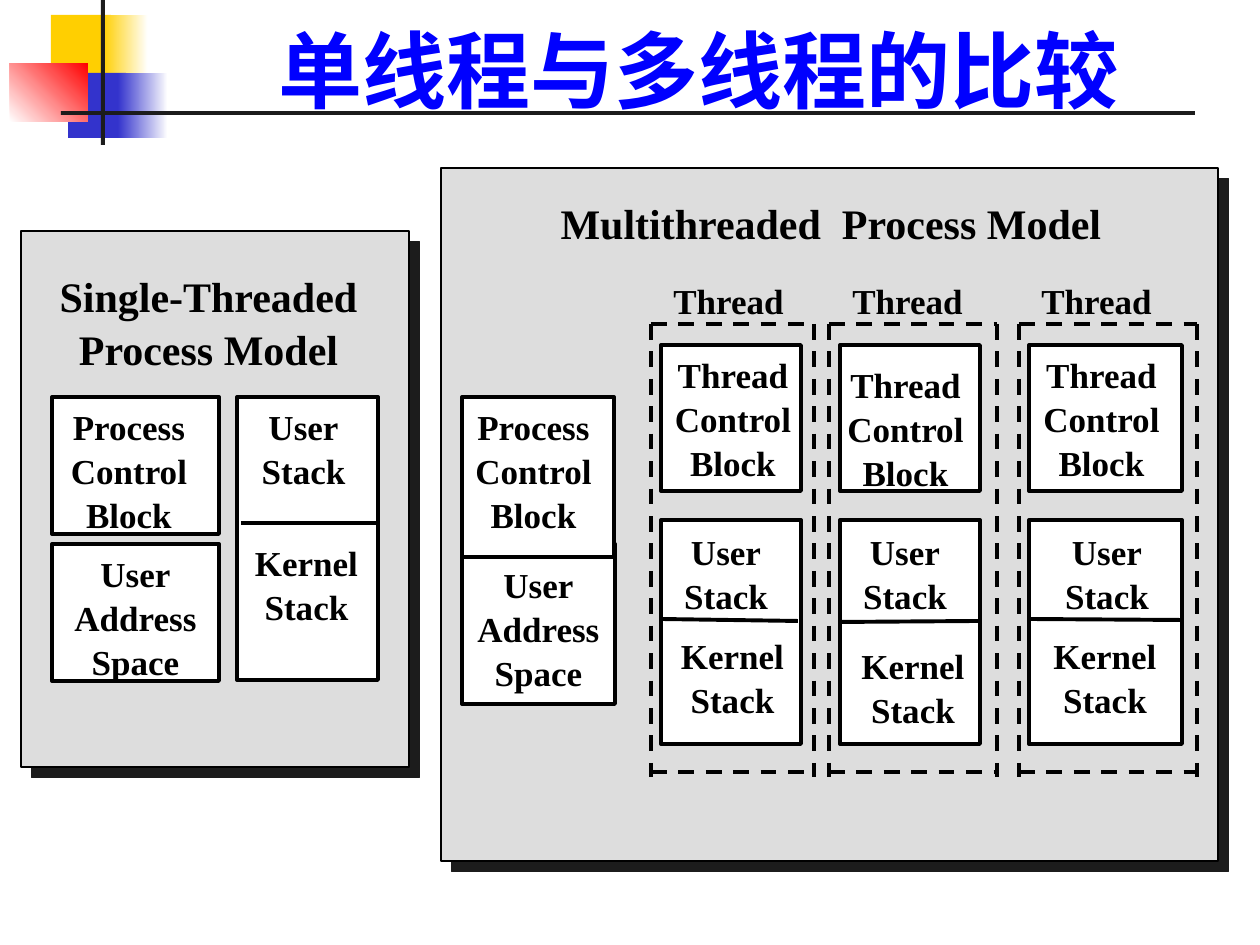
"""Build the slide comparing single-threaded and multithreaded processes."""
from dataclasses import dataclass

from lxml import etree
from pptx import Presentation
from pptx import util as u
from pptx.dml.color import RGBColor
from pptx.enum import dml, shapes, text
from pptx.oxml import ns

PX = 914400 / 126
BLACK, WHITE, GREY, DARK = "000000", "FFFFFF", "DDDDDD", "1C1C1C"
YELLOW, BLUE = "FFCF01", "3333CC"
CENTER, LEFT = text.PP_ALIGN.CENTER, text.PP_ALIGN.LEFT
CONTROL, USER, KERNEL = "Thread\nControl\nBlock", "User\nStack", "Kernel\nStack"
PROCESS, ADDRESS = "Process\nControl\nBlock", "User\nAddress\vSpace"


@dataclass
class Area:
    """A rectangle in px."""
    left: int
    top: int
    width: int
    height: int

    def emu(self) -> list:
        return [px(n) for n in (self.left, self.top, self.width, self.height)]


@dataclass
class Block:
    """A filled rectangle, with an optional outline, fade or shadow."""
    area: Area
    fill: str = WHITE
    line: float = 0
    fade: str = ""
    angle: int = 0
    shadow: bool = False


@dataclass
class Label:
    """Centred bold text, one paragraph per line."""
    words: str
    area: Area
    size: int = 20
    align: text.PP_ALIGN = CENTER


@dataclass
class Rule:
    """A straight line between two points in px."""
    start: tuple
    end: tuple
    dashed: bool = False


@dataclass
class Thread:
    """One thread column: frame sides, box, text areas and divider."""
    frame: tuple
    left: int
    width: int
    control: Area
    user: Area
    kernel: Area
    divider: Rule


def px(count: float) -> u.Emu:
    """Turn px into EMU."""
    return u.Emu(round(count * PX))


def color(code: str) -> RGBColor:
    """Turn a hex string into a colour."""
    return RGBColor.from_string(code)


def add_effects(shape) -> etree._Element:
    """Add an empty effect list to a shape and return it."""
    return etree.SubElement(shape._element.spPr, ns.qn("a:effectLst"))


def add_block(page, block: Block) -> None:
    """Draw one rectangle."""
    box = page.shapes.add_shape(shapes.MSO_SHAPE.RECTANGLE, *block.area.emu())
    if block.fade:
        box.fill.gradient()
        box.fill.gradient_angle = block.angle
        for stop, code in zip(box.fill.gradient_stops, (block.fill, block.fade)):
            stop.color.rgb = color(code)
    else:
        box.fill.solid()
        box.fill.fore_color.rgb = color(block.fill)
    if block.line:
        box.line.width = u.Pt(block.line)
        box.line.color.rgb = color(BLACK)
    else:
        box.line.fill.background()
    if block.shadow:
        shadow = etree.SubElement(add_effects(box), ns.qn("a:outerShdw"),
                                  dist=str(u.Pt(8.5)), dir="2700000", algn="ctr", rotWithShape="0")
        etree.SubElement(shadow, ns.qn("a:srgbClr"), val=DARK)
    else:
        box.shadow.inherit = False


def write(box, words: str, align: text.PP_ALIGN, code: str, style: dict, spacing: float) -> None:
    """Fill a box with formatted paragraphs."""
    box.text_frame.word_wrap = True
    box.text_frame.text = words
    for para in box.text_frame.paragraphs:
        para.alignment = align
        para.line_spacing = spacing
        for span in para.runs:
            span.font.color.rgb = color(code)
            for name, value in style.items():
                setattr(span.font, name, value)


def add_label(page, label: Label) -> None:
    """Draw one text box."""
    box = page.shapes.add_textbox(*label.area.emu())
    style = {"name": "Times New Roman", "size": u.Pt(label.size), "bold": True}
    write(box, label.words, label.align, BLACK, style, 1.05)


def add_rule(page, rule: Rule) -> None:
    """Draw one line."""
    line = page.shapes.add_connector(shapes.MSO_CONNECTOR.STRAIGHT,
                                     *(px(n) for n in rule.start + rule.end))
    line.line.width = u.Pt(2.25)
    line.line.color.rgb = color(BLACK)
    if rule.dashed:
        line.line.dash_style = dml.MSO_LINE.DASH
    add_effects(line)


def add_thread(page, thread: Thread) -> None:
    """Draw one thread column."""
    left, right = thread.frame
    for top, height in ((520, 224), (345, 146)):
        add_block(page, Block(Area(thread.left, top, thread.width, height), line=2.25))
    add_rule(page, thread.divider)
    for y in (324, 772):
        add_rule(page, Rule((left, y), (right, y), True))
    for x in thread.frame:
        add_rule(page, Rule((x, 324), (x, 777), True))
    for words, area in ((CONTROL, thread.control), (USER, thread.user), (KERNEL, thread.kernel)):
        add_label(page, Label(words, area))
    add_label(page, Label("Thread", Area(thread.left, 271, 138, 54), align=LEFT))


def add_title(page, words: str) -> None:
    """Place the title above the ornament."""
    title = page.shapes.title
    title.left, title.top, title.width, title.height = Area(159, 10, 1080, 116).emu()
    title.text_frame.auto_size = text.MSO_AUTO_SIZE.NONE
    title.text_frame.vertical_anchor = text.MSO_ANCHOR.BOTTOM
    write(title, words, CENTER, "0000FF", {"name": "Roboto", "size": u.Pt(48), "bold": True}, 1.0)
    title._element.getparent().append(title._element)


ORNAMENT = [
    Block(Area(51, 15, 60, 66), YELLOW),
    Block(Area(103, 15, 45, 66), YELLOW, fade=WHITE),
    Block(Area(68, 73, 58, 65), BLUE),
    Block(Area(118, 73, 50, 65), BLUE, fade=WHITE),
    Block(Area(10, 63, 78, 59), WHITE, fade="FF0000", angle=45),
    Block(Area(101, 0, 4, 145), DARK),
    Block(Area(61, 111, 1134, 4), DARK),
]
PANELS = [Block(area, GREY, 1, shadow=True)
          for area in (Area(21, 231, 388, 536), Area(441, 168, 777, 693))]
BOXES = [Block(area, line=2.25) for area in (
    Area(462, 544, 153, 160), Area(462, 397, 152, 160), Area(237, 397, 141, 283),
    Area(52, 397, 167, 137), Area(52, 544, 167, 137))]
LABELS = [
    Label("Single-Threaded\nProcess Model", Area(42, 262, 333, 113), 24),
    Label("Multithreaded  Process Model", Area(462, 189, 738, 63), 24),
    Label(PROCESS, Area(52, 397, 154, 139)),
    Label(ADDRESS, Area(52, 544, 167, 139)),
    Label(USER, Area(237, 397, 133, 97)),
    Label(KERNEL, Area(237, 533, 139, 97)),
    Label(PROCESS, Area(451, 397, 165, 139)),
    Label(ADDRESS, Area(462, 555, 153, 139)),
]
THREADS = [
    Thread((651, 814), 661, 140, Area(658, 345, 150, 139), Area(667, 522, 118, 97),
           Area(664, 626, 137, 97), Rule((661, 619), (798, 621))),
    Thread((829, 997), 840, 140, Area(829, 355, 153, 139), Area(840, 522, 130, 97),
           Area(840, 636, 146, 97), Rule((840, 622), (979, 621))),
    Thread((1019, 1197), 1029, 153, Area(1019, 345, 165, 139), Area(1049, 522, 116, 97),
           Area(1036, 626, 138, 97), Rule((1029, 619), (1182, 620))),
]


def main() -> None:
    """Build and save the deck."""
    deck = Presentation()
    deck.slide_width, deck.slide_height = px(1260), px(945)
    page = deck.slides.add_slide(deck.slide_layouts[5])
    for block in ORNAMENT + PANELS + BOXES:
        add_block(page, block)
    add_title(page, "单线程与多线程的比较")
    add_rule(page, Rule((241, 523), (378, 523)))
    for label in LABELS:
        add_label(page, label)
    for thread in THREADS:
        add_thread(page, thread)
    deck.save("out.pptx")


if __name__ == "__main__":
    main()
